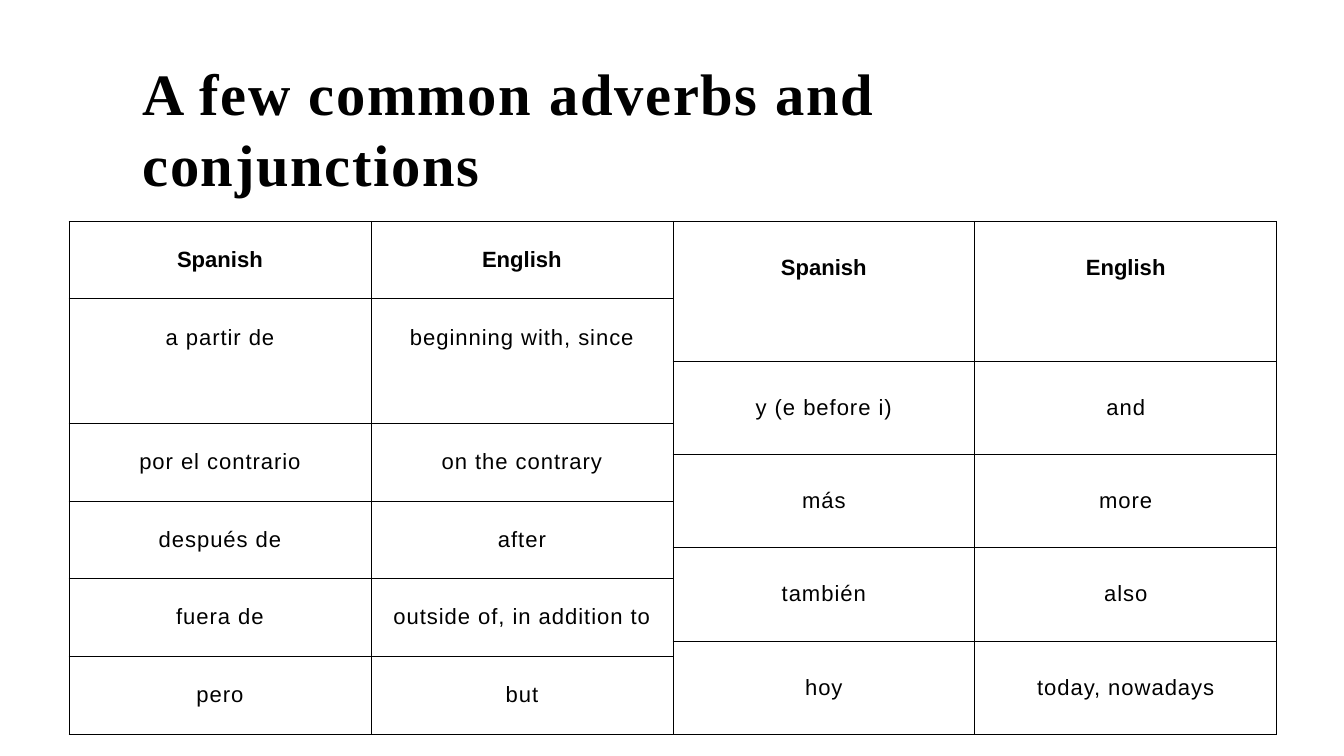
from lxml.etree import SubElement
from pptx import Presentation
from pptx.dml.color import RGBColor
from pptx.enum.text import PP_ALIGN
from pptx.oxml import parse_xml
from pptx.oxml.ns import nsdecls, qn
from pptx.util import Inches, Pt

TITLE = "A few common adverbs and conjunctions"
LEFT_WORDS = [
    ("Spanish", "English"),
    ("a partir de", "beginning with, since"),
    ("por el contrario", "on the contrary"),
    ("después de", "after"),
    ("fuera de", "outside of, in addition to"),
    ("pero", "but"),
]
RIGHT_WORDS = [
    ("Spanish", "English"),
    ("y (e before i)", "and"),
    ("más", "more"),
    ("también", "also"),
    ("hoy", "today, nowadays"),
]
# The two halves share one table: their entries begin on different rows.
LEFT_STARTS = [0, 1, 3, 5, 7, 9]
RIGHT_STARTS = [0, 2, 4, 6, 8]
ROW_HEIGHTS = [1.27, 1.02, 1.02, 0.51, 0.76, 0.76, 0.51, 1.02, 0.25, 1.27]
COLUMN_WIDTH = 4.94
# First column, top margin in inches, space before in points
LEFT_LAYOUT = (0, 0.43, 31)
RIGHT_LAYOUT = (2, 0.56, 0)
BLACK = "000000"


def color(hex_value):
    return RGBColor.from_string(hex_value)


def style(paragraph, font_name, size, bold, tracking):
    """Set the font of a paragraph and its letter spacing in points."""
    font = paragraph.font
    font.name, font.size, font.bold = font_name, Pt(size), bold
    font.color.rgb = color(BLACK)
    for run in paragraph.runs:
        run.font._element.set("spc", str(round(tracking * 100)))


def add_borders(cell):
    properties = cell._tc.get_or_add_tcPr()
    for position, side in enumerate(("lnL", "lnR", "lnT", "lnB")):
        line = parse_xml(f'<a:{side} {nsdecls("a")} w="{Pt(1)}"/>')
        fill = SubElement(line, qn("a:solidFill"))
        SubElement(fill, qn("a:srgbClr"), val=BLACK)
        properties.insert(position, line)


def fill_half(table, entries, starts, layout):
    """Write word pairs into two columns, merging each down to the next."""
    first_column, top_margin, space_before = layout
    ends = starts[1:] + [len(ROW_HEIGHTS)]
    for pair, start, end in zip(entries, starts, ends):
        for column, words in enumerate(pair, first_column):
            cell = table.cell(start, column)
            if end - start > 1:
                cell.merge(table.cell(end - 1, column))
            cell.text = words
            paragraph = cell.text_frame.paragraphs[0]
            paragraph.alignment = PP_ALIGN.CENTER
            paragraph.space_before = Pt(space_before)
            is_header = start == 0
            style(paragraph, "Arial", 26, is_header, 0 if is_header else 1.1)
            cell.margin_top = Inches(top_margin)


def add_title(slide):
    title = slide.shapes.add_textbox(
        Inches(2.33), Inches(0.92), Inches(17.32), Inches(2.3)).text_frame
    title.word_wrap = True
    title.margin_left = title.margin_right = title.margin_bottom = 0
    title.margin_top = Inches(0.02)
    title.text = TITLE
    style(title.paragraphs[0], "Times New Roman", 69, True, 2)


def add_vocabulary(slide):
    table = slide.shapes.add_table(
        len(ROW_HEIGHTS), 4, Inches(1.13), Inches(3.62),
        Inches(4 * COLUMN_WIDTH), Inches(sum(ROW_HEIGHTS))).table
    table.first_row = table.horz_banding = False
    for column in table.columns:
        column.width = Inches(COLUMN_WIDTH)
    for row, height in zip(table.rows, ROW_HEIGHTS):
        row.height = Inches(height)
    for cell in table.iter_cells():
        cell.margin_left = cell.margin_right = 0
        cell.margin_top = cell.margin_bottom = 0
        cell.fill.background()
        add_borders(cell)
    fill_half(table, LEFT_WORDS, LEFT_STARTS, LEFT_LAYOUT)
    fill_half(table, RIGHT_WORDS, RIGHT_STARTS, RIGHT_LAYOUT)


def main():
    presentation = Presentation()
    presentation.slide_width = Inches(21.99)
    presentation.slide_height = Inches(12.37)
    slide = presentation.slides.add_slide(presentation.slide_layouts[6])
    add_title(slide)
    add_vocabulary(slide)
    presentation.save("out.pptx")


if __name__ == "__main__":
    main()
